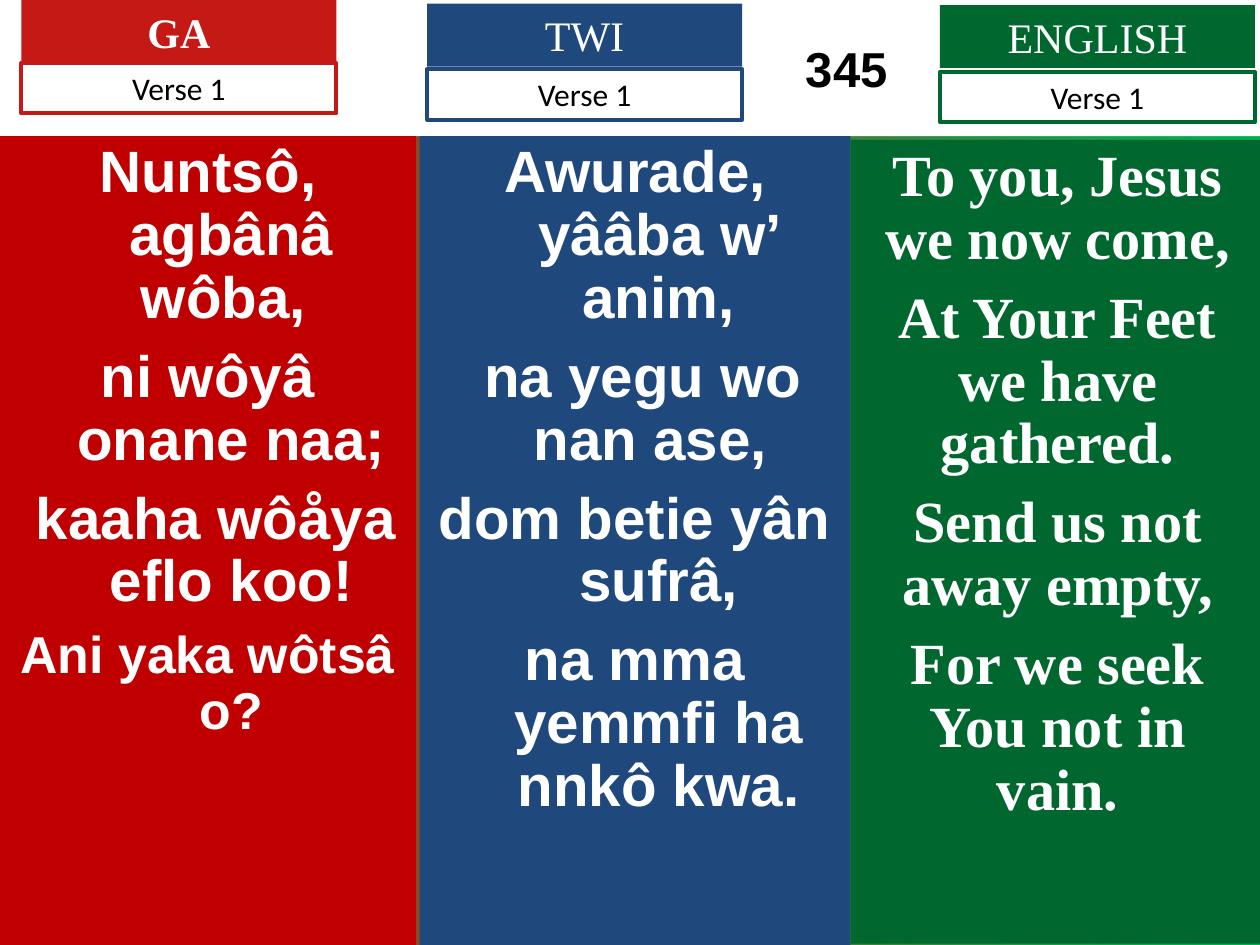
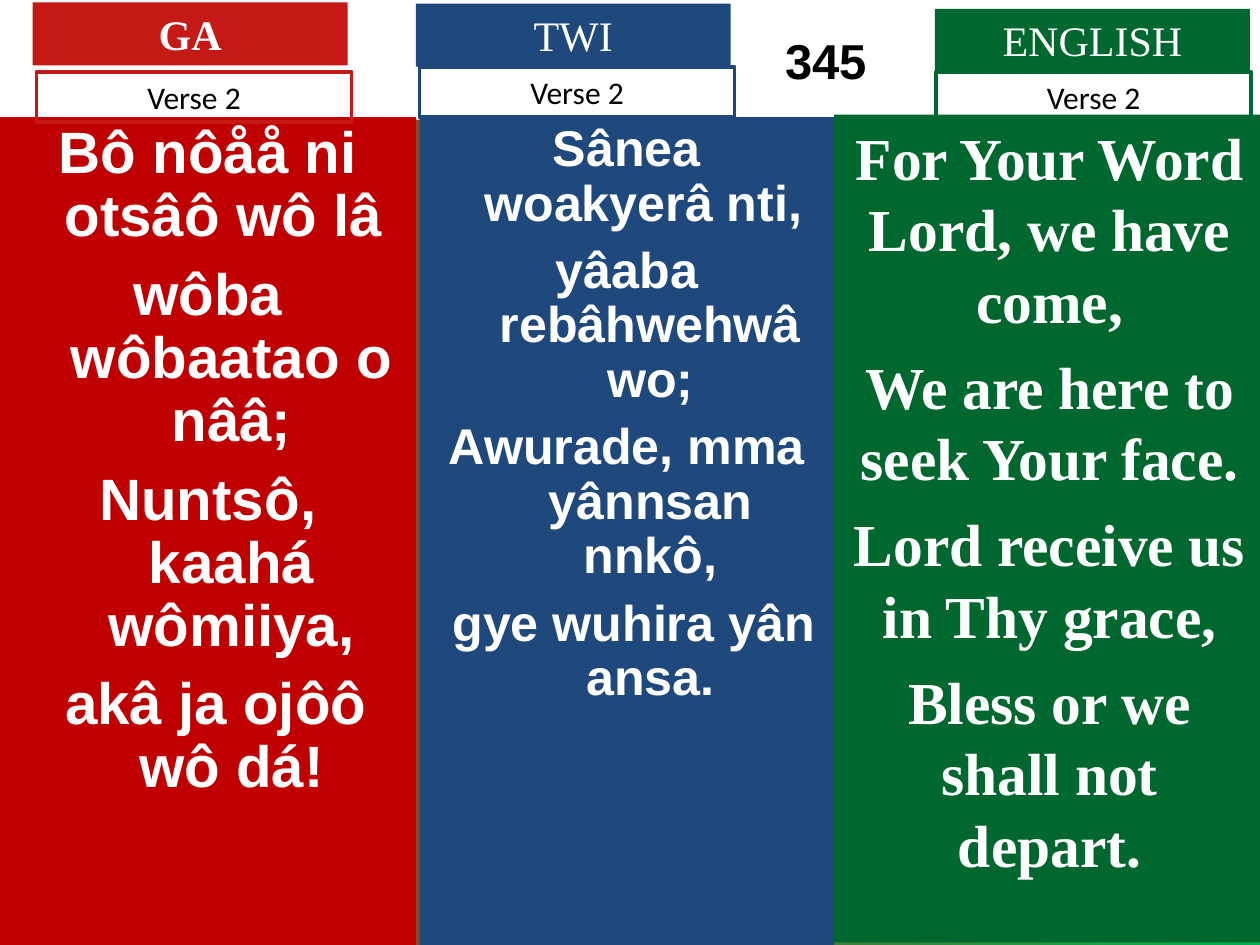
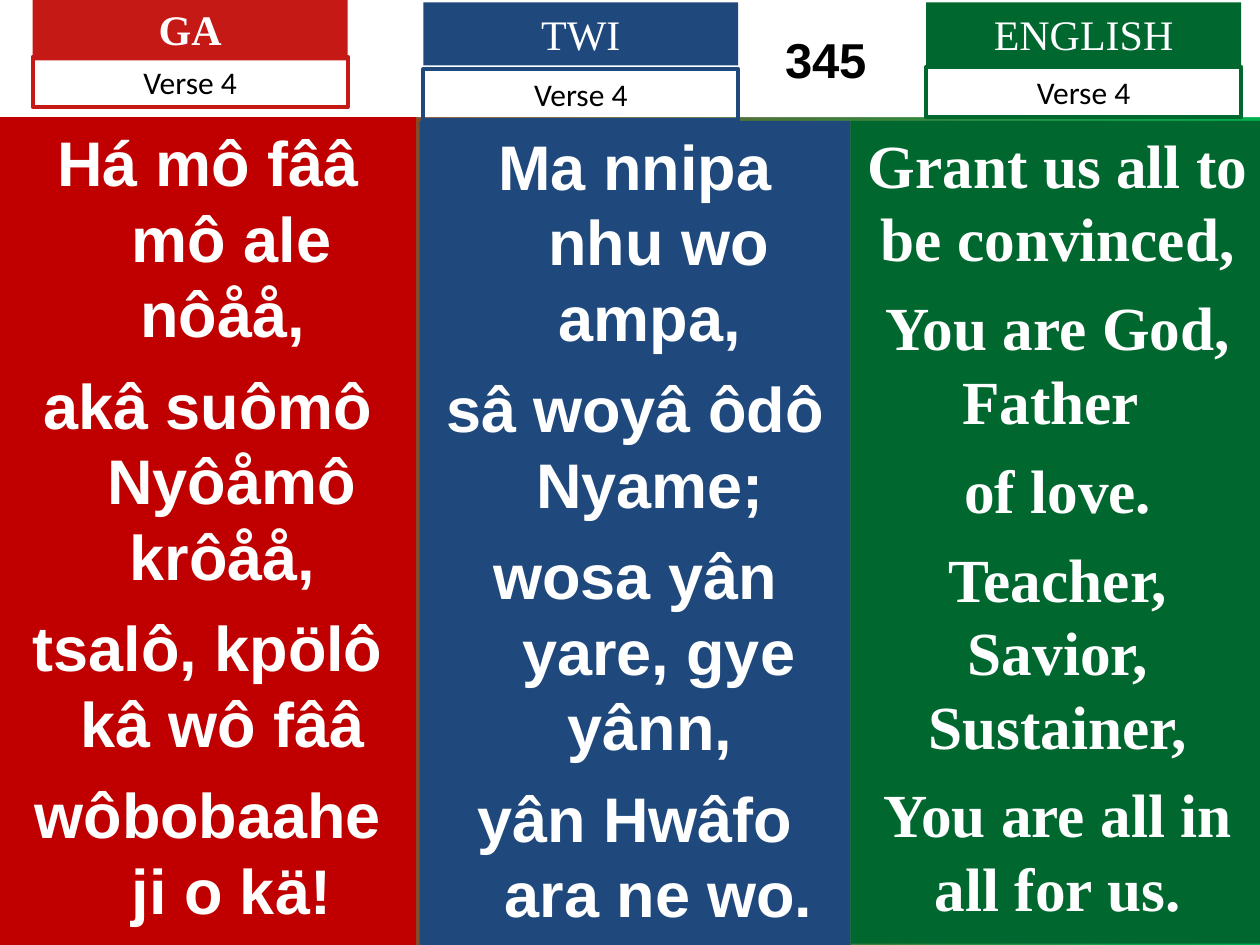
"""Build three hymn slides with each verse in Ga, Twi and English columns."""
from lxml import etree
from pptx import Presentation
from pptx.dml.color import RGBColor
from pptx.enum import text
from pptx.oxml import ns
from pptx.util import Inches, Pt

RED = RGBColor(0xC5, 0x19, 0x15)
DARK_RED = RGBColor(0xC0, 0x00, 0x00)
BLUE = RGBColor(0x1F, 0x49, 0x7D)
GREEN = RGBColor(0x00, 0x68, 0x2F)
BRIGHT_GREEN = RGBColor(0x00, 0xB0, 0x50)
WHITE = RGBColor(0xFF, 0xFF, 0xFF)
BLACK = RGBColor(0x00, 0x00, 0x00)
SERIF = "Times New Roman"

LANGUAGES = [
    ("GA", RED, DARK_RED, "Arial", True),
    ("TWI", BLUE, BLUE, "Arial", False),
    ("ENGLISH", GREEN, GREEN, SERIF, False),
]

# Per column: panel box, header corner, verse corner, text size, last-line size, lines
SLIDES = [
    ("Verse 1", 1.08, 3.54, 0.9, [
        ((0, 1.08, 3.3, 6.42), (0.17, 0), (0.17, 0.5), 33.3, 29.6,
         ["Nuntsô, agbânâ wôba, ", "ni wôyâ onane naa;",
          " kaaha wôåya eflo koo!", "Ani yaka wôtsâ o?"]),
        ((3.33, 1.08, 3.42, 6.42), (3.39, 0.03), (3.39, 0.55), 33.3, 33.3,
         ["Awurade, yââba w’ anim,", " na yegu wo nan ase, ",
          "dom betie yân sufrâ,", "na mma yemmfi ha nnkô kwa."]),
        ((6.75, 1.11, 3.29, 6.38), (7.46, 0.04), (7.46, 0.57), 33.3, 33.3,
         ["To you, Jesus we now come,", "At Your Feet we have gathered.",
          "Send us not away empty,", "For we seek You not in vain."]),
    ]),
    ("Verse 2", 0.95, 3.21, 0.9, [
        ((0, 0.93, 3.3, 6.57), (0.26, 0.02), (0.29, 0.57), 33.3, 33.3,
         ["Bô nôåå ni otsâô wô lâ ", "wôba wôbaatao o nââ;",
          "Nuntsô, kaahá wômiiya,", " akâ ja ojôô wô dá!"]),
        ((3.33, 0.93, 3.29, 6.57), (3.3, 0.03), (3.33, 0.53), 28.7, 28.7,
         ["Sânea woakyerâ nti, ", "yâaba rebâhwehwâ wo;",
          "Awurade, mma yânnsan nnkô,", " gye wuhira yân ansa."]),
        ((6.62, 0.91, 3.42, 6.57), (7.42, 0.07), (7.43, 0.57), 34, 34,
         ["For Your Word Lord, we have come,", "We are here to seek Your face.",
          "Lord receive us in Thy grace,", "Bless or we shall not depart."]),
    ]),
    ("Verse 4", 0.93, 3.21, 1.0, [
        ((0, 0.93, 3.3, 6.57), (0.26, -0.02), (0.26, 0.45), 36, 36,
         ["Há mô fââ mô ale nôåå, ", "akâ suômô Nyôåmô krôåå, ",
          "tsalô, kpölô kâ wô fââ ", "wôbobaahe ji o kä!"]),
        ((3.33, 0.96, 3.42, 6.54), (3.36, 0.02), (3.36, 0.55), 36, 36,
         ["Ma nnipa nhu wo ampa, ", "sâ woyâ ôdô Nyame; ",
          "wosa yân yare, gye yânn, ", "yân Hwâfo ara ne wo."]),
        ((6.75, 0.96, 3.29, 6.53), (7.35, 0.02), (7.35, 0.53), 35, 35,
         ["Grant us all to be convinced,", "You are God, Father ", "of love.",
          "Teacher, Savior, Sustainer,", "You are all in all for us."]),
    ]),
]


def place(sp, left, top, width, height):
    sp.left, sp.top = Inches(left), Inches(top)
    sp.width, sp.height = Inches(width), Inches(height)
    sp.text_frame.word_wrap = True
    sp.text_frame.auto_size = text.MSO_AUTO_SIZE.NONE


def style(p, font, size, color, bold):
    p.alignment = text.PP_ALIGN.CENTER
    p.font.name, p.font.size, p.font.bold = font, Pt(size), bold
    p.font.color.rgb = color


prs = Presentation()
prs.slide_width, prs.slide_height = Inches(10), Inches(7.5)

for verse, title_height, title_inset, spacing, columns in SLIDES:
    s = prs.slides.add_slide(prs.slide_layouts[3])
    fill = s.background.fill
    fill.gradient()
    fill.gradient_angle = 0
    for stop, color in zip(fill.gradient_stops, (RED, BRIGHT_GREEN)):
        stop.color.rgb = color

    title = s.shapes.title
    place(title, 0, 0, 10, title_height)
    title.fill.solid()
    title.fill.fore_color.rgb = WHITE
    title.text_frame.margin_left = Inches(title_inset)
    title.text_frame.text = "345"
    style(title.text_frame.paragraphs[0], "Arial", 28, BLACK, True)

    bodies = list(s.placeholders)[1:]
    for i, (language, column) in enumerate(zip(LANGUAGES, columns)):
        name, accent, panel_color, font, bold = language
        box, header_at, verse_at, size, last_size, lines = column

        panel = bodies[i] if i < len(bodies) else s.shapes.add_textbox(0, 0, 0, 0)
        place(panel, *box)
        panel.fill.solid()
        panel.fill.fore_color.rgb = panel_color
        tf = panel.text_frame
        tf.text = "\n".join(lines)
        for j, p in enumerate(tf.paragraphs):
            line_size = last_size if j == len(lines) - 1 else size
            gap = line_size * (0.27 if font == "Arial" and spacing < 1 else 0.25)
            if verse == "Verse 1":
                gap = line_size * 0.27
            etree.SubElement(p._p.get_or_add_pPr(), ns.qn("a:buNone"))
            p.line_spacing = 1.0 if size == 34 else spacing
            p.space_before = Pt(round(gap, 1) if j else 0)
            style(p, font, line_size, WHITE, True)

        header = s.shapes.add_textbox(0, 0, 0, 0)
        place(header, *header_at, 2.5, 0.5)
        header.fill.solid()
        header.fill.fore_color.rgb = accent
        header.text_frame.text = name
        style(header.text_frame.paragraphs[0], SERIF, 24, WHITE, bold)

        label = s.shapes.add_textbox(0, 0, 0, 0)
        place(label, *verse_at, 2.5, 0.4)
        label.line.color.rgb = accent
        label.line.width = Pt(2.25)
        label.text_frame.text = verse
        style(label.text_frame.paragraphs[0], "Calibri", 18, BLACK, False)

prs.save("out.pptx")
